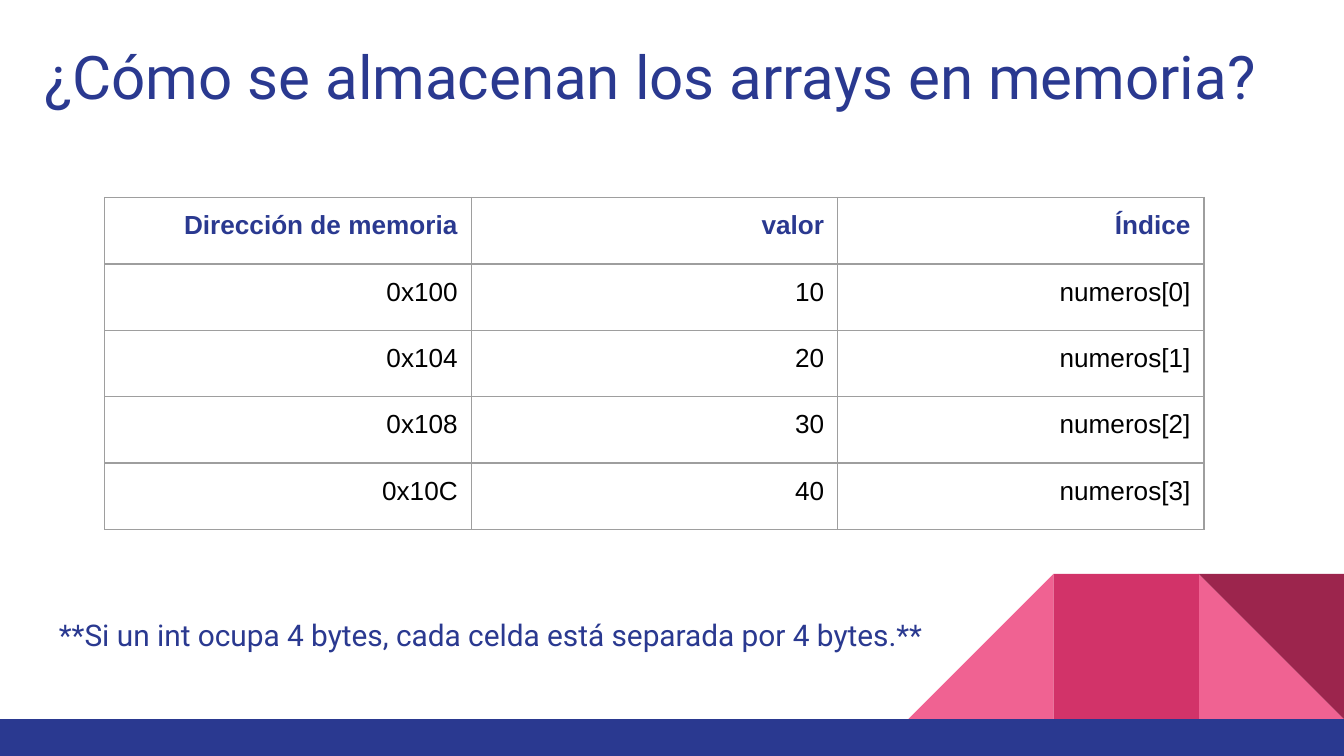
from dataclasses import dataclass

from lxml.etree import SubElement
from pptx import Presentation
from pptx.dml.color import RGBColor
from pptx.enum.shapes import MSO_SHAPE
from pptx.enum.text import MSO_ANCHOR, PP_ALIGN
from pptx.oxml.ns import qn
from pptx.slide import Slide
from pptx.table import _Cell
from pptx.util import Inches, Pt

NAVY, PINK, MAGENTA, WINE = "2A3990", "F06292", "D23369", "9C254D"
BLACK, GREY = "000000", "9E9E9E"
MARGIN = Inches(0.1)
SLIDE_WIDTH = 10
SLIDE_HEIGHT = SLIDE_WIDTH * 9 / 16


@dataclass
class Block:
    kind: MSO_SHAPE
    left: float
    top: float
    width: float
    height: float
    color: str
    rotation: int = 0
    flipped: bool = False


@dataclass
class Label:
    text: str
    left: float
    top: float
    width: float
    height: float
    size: float


def rgb(color: str) -> RGBColor:
    return RGBColor.from_string(color)


def draw_block(slide: Slide, block: Block) -> None:
    shape = slide.shapes.add_shape(block.kind, Inches(block.left), Inches(block.top),
                                   Inches(block.width), Inches(block.height))
    shape.shadow.inherit = False
    shape.fill.solid()
    shape.fill.fore_color.rgb = rgb(block.color)
    shape.line.fill.background()
    shape.rotation = block.rotation
    if block.flipped:
        shape._element.spPr.find(qn("a:xfrm")).set("flipH", "1")


def draw_label(slide: Slide, label: Label) -> None:
    box = slide.shapes.add_textbox(Inches(label.left), Inches(label.top),
                                   Inches(label.width), Inches(label.height))
    frame = box.text_frame
    frame.word_wrap = True
    frame.vertical_anchor = MSO_ANCHOR.TOP
    frame.margin_left = frame.margin_right = MARGIN
    frame.margin_top = frame.margin_bottom = MARGIN
    paragraph = frame.paragraphs[0]
    paragraph.text = label.text
    paragraph.font.name = "Roboto"
    paragraph.font.size = Pt(label.size)
    paragraph.font.color.rgb = rgb(NAVY)


def add_borders(cell: _Cell) -> None:
    properties = cell._tc.get_or_add_tcPr()
    for position, side in enumerate(("a:lnL", "a:lnR", "a:lnT", "a:lnB")):
        border = properties.makeelement(qn(side), {"w": str(Pt(0.75))})
        fill = SubElement(border, qn("a:solidFill"))
        SubElement(fill, qn("a:srgbClr"), val=GREY)
        properties.insert(position, border)


def fill_cell(cell: _Cell, text: str, is_header: bool) -> None:
    cell.fill.background()
    cell.margin_left = cell.margin_right = MARGIN
    cell.margin_top = cell.margin_bottom = MARGIN
    paragraph = cell.text_frame.paragraphs[0]
    paragraph.text = text
    paragraph.alignment = PP_ALIGN.RIGHT
    paragraph.font.name = "Arial"
    paragraph.font.size = Pt(14)
    paragraph.font.bold = is_header
    paragraph.font.color.rgb = rgb(NAVY if is_header else BLACK)
    add_borders(cell)


def draw_table(slide: Slide, rows: list[tuple[str, ...]], left: float, top: float,
               width: float, height: float) -> None:
    # add_table shares the width and height equally among columns and rows
    table = slide.shapes.add_table(len(rows), len(rows[0]), Inches(left), Inches(top),
                                   Inches(width), Inches(height)).table
    table.horz_banding = False
    table.first_row = False
    for row_number, row in enumerate(rows):
        for column_number, text in enumerate(row):
            fill_cell(table.cell(row_number, column_number), text, row_number == 0)


def main() -> None:
    presentation = Presentation()
    presentation.slide_width = Inches(SLIDE_WIDTH)
    presentation.slide_height = Inches(SLIDE_HEIGHT)
    slide = presentation.slides.add_slide(presentation.slide_layouts[6])

    # Corner decoration: three equal squares standing on the footer band
    side, footer_top = 1.08, 5.35
    top = footer_top - side
    first, second, third = (SLIDE_WIDTH - side * count for count in (3, 2, 1))
    triangle, rectangle = MSO_SHAPE.RIGHT_TRIANGLE, MSO_SHAPE.RECTANGLE
    for block in (
        Block(triangle, third, top, side, side, PINK),
        Block(triangle, first, top, side, side, PINK, flipped=True),
        Block(rectangle, second, top, side, side, MAGENTA),
        Block(triangle, third, top, side, side, WINE, rotation=180),
        Block(rectangle, 0, footer_top, SLIDE_WIDTH, SLIDE_HEIGHT - footer_top, NAVY),
    ):
        draw_block(slide, block)

    # Title and closing note
    draw_label(slide, Label("¿Cómo se almacenan los arrays en memoria?",
                            0.23, 0.19, 9.25, 0.82, 32.2))
    draw_label(slide, Label("**Si un int ocupa 4 bytes, cada celda está separada por 4 bytes.**",
                            0.34, 4.49, 9.32, 0.5, 16))

    # Memory table: each int takes four bytes
    header = ("Dirección de memoria", "valor", "Índice")
    cells = [(f"0x{0x100 + 4 * index:X}", str(value), f"numeros[{index}]")
             for index, value in enumerate((10, 20, 30, 40))]
    draw_table(slide, [header, *cells], 0.78, 1.47, 8.18, 2.47)

    presentation.save("out.pptx")


if __name__ == "__main__":
    main()
